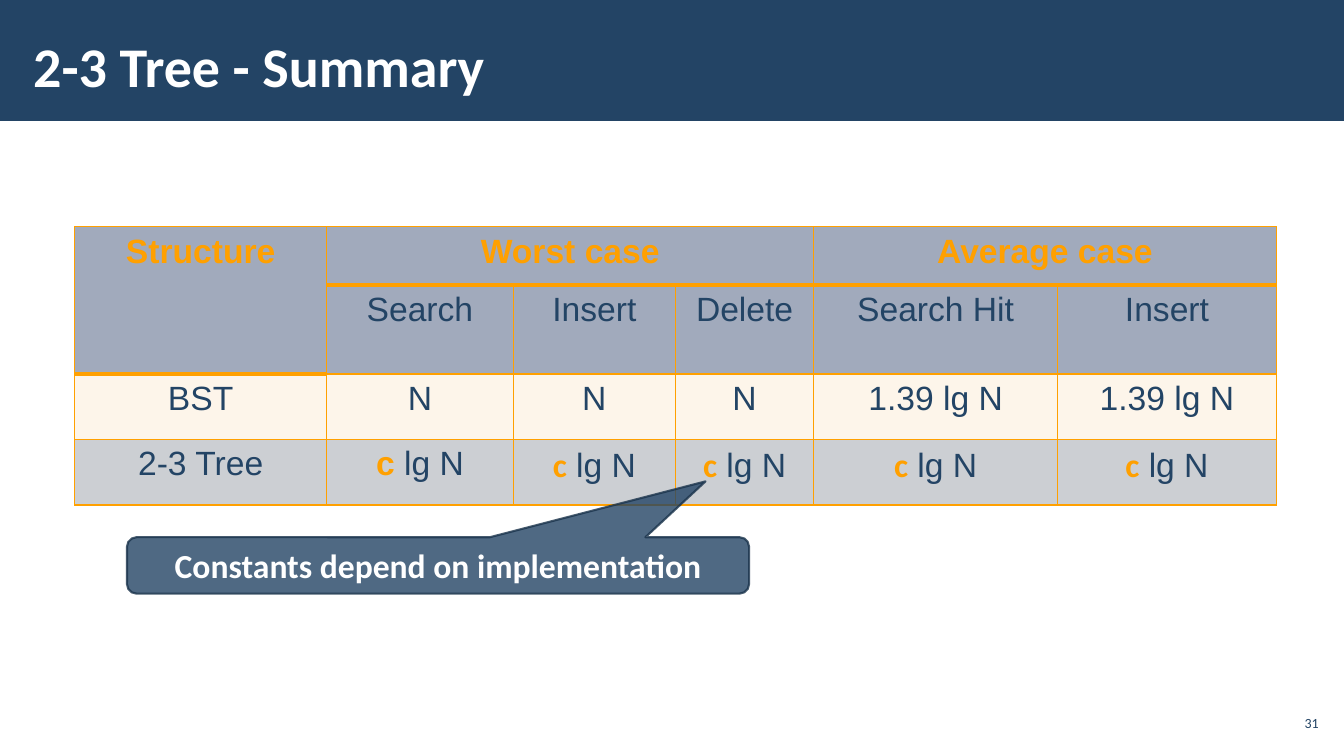
import pptx
import pptx.dml.color
import pptx.enum.shapes
import pptx.enum.text
import pptx.oxml
import pptx.oxml.ns
import pptx.util
from lxml import etree

Inches = pptx.util.Inches
Pt = pptx.util.Pt
ALIGN = pptx.enum.text.PP_ALIGN
MIDDLE = pptx.enum.text.MSO_ANCHOR.MIDDLE
SHAPES = pptx.enum.shapes.MSO_SHAPE

NAVY, ORANGE, WHITE = "234465", "FFA000", "FFFFFF"
HEADER_FILL, BST_FILL, TREE_FILL = "A1AABC", "FDF5EA", "CCCFD3"


def rgb(value):
    return pptx.dml.color.RGBColor.from_string(value)


def apply(target, values):
    for name, value in values.items():
        setattr(target, name, value)


def margins(left, top):
    sides = {"left": left, "right": left, "top": top, "bottom": top}
    return {f"margin_{side}": Inches(size) for side, size in sides.items()}


class SummarySlide:
    def __init__(self, slide):
        self.slide = slide
        self.plain = {"name": "Arial", "size": Pt(24), "bold": False}
        self.strong = {**self.plain, "bold": True}
        self.calibri = {**self.strong, "name": "Calibri"}

    def add_runs(self, frame, runs, align):
        paragraph = frame.paragraphs[0]
        paragraph.alignment = align
        for words, color, style in runs:
            run = paragraph.add_run()
            run.text = words
            apply(run.font, style)
            run.font.color.rgb = rgb(color)

    def text(self, box, runs, align, inset):
        frame = self.slide.shapes.add_textbox(*map(Inches, box)).text_frame
        apply(frame, {"word_wrap": True, "vertical_anchor": MIDDLE, **margins(inset, 0.04)})
        self.add_runs(frame, runs, align)

    def shape(self, kind, box, fill):
        shape = self.slide.shapes.add_shape(kind, *map(Inches, box))
        shape.shadow.inherit = False
        shape.fill.solid()
        shape.fill.fore_color.rgb = rgb(fill)
        shape.line.fill.background()
        return shape

    def callout(self, box, pointer, runs):
        shape = self.shape(SHAPES.ROUNDED_RECTANGULAR_CALLOUT, box, NAVY)
        for index, value in enumerate(pointer):
            shape.adjustments[index] = value
        shape.line.color.rgb = rgb("1A334B")
        shape.line.width = Pt(1.5)
        for color in shape._element.spPr.iter(pptx.oxml.ns.qn("a:srgbClr")):
            etree.SubElement(color, pptx.oxml.ns.qn("a:alpha"), val="80000")
        apply(shape.text_frame, {"word_wrap": True, "vertical_anchor": MIDDLE, **margins(0.1, 0.05)})
        self.add_runs(shape.text_frame, runs, ALIGN.CENTER)

    def borders(self, cell, widths):
        properties = cell._tc.get_or_add_tcPr()
        for index, (side, width) in enumerate(widths.items()):
            line = pptx.oxml.parse_xml(
                f'<a:ln{side} {pptx.oxml.ns.nsdecls("a")} w="{Pt(width)}">'
                f'<a:solidFill><a:srgbClr val="{ORANGE}"/></a:solidFill></a:ln{side}>'
            )
            properties.insert(index, line)

    def table(self, left, top, widths, heights, fills, rows, merges, thick_edges):
        grid = self.slide.shapes.add_table(
            len(heights), len(widths), Inches(left), Inches(top),
            Inches(sum(widths)), Inches(sum(heights)),
        ).table
        apply(grid, {"first_row": False, "horz_banding": False})
        for column, width in zip(grid.columns, widths):
            column.width = Inches(width)
        for row, height in zip(grid.rows, heights):
            row.height = Inches(height)
        for first, last in merges:
            grid.cell(*first).merge(grid.cell(*last))
        for r, entries in enumerate(rows):
            for c, runs in enumerate(entries):
                cell = grid.cell(r, c)
                apply(cell, margins(0.13, 0.06))
                cell.fill.solid()
                cell.fill.fore_color.rgb = rgb(fills[r])
                top_width = 3 if (r - 1, c) in thick_edges else 1
                bottom_width = 3 if (r, c) in thick_edges else 1
                self.borders(cell, {"L": 1, "R": 1, "T": top_width, "B": bottom_width})
                if runs:
                    self.add_runs(cell.text_frame, runs, ALIGN.CENTER)


def main():
    deck = pptx.Presentation()
    apply(deck, {"slide_width": Inches(13.33), "slide_height": Inches(7.5)})
    page = SummarySlide(deck.slides.add_slide(deck.slide_layouts[6]))

    page.shape(SHAPES.RECTANGLE, (0, 0, 13.33, 1.2), NAVY)
    number_style = {"name": "Calibri", "size": Pt(10)}
    page.text((12.65, 7, 0.47, 0.34), [("31", NAVY, number_style)], ALIGN.RIGHT, 0.04)
    title_style = {**page.calibri, "size": Pt(40)}
    page.text((0.21, 0.04, 10.47, 1.21), [("2-3 Tree - Summary", WHITE, title_style)], ALIGN.LEFT, 0.12)

    def heading(words):
        return [(words, ORANGE, page.strong)]

    def plain(words):
        return [(words, NAVY, page.plain)]

    def cost(constant_style):
        return [("c", ORANGE, constant_style), (" lg N", NAVY, page.plain)]

    operations = ["Search", "Insert", "Delete", "Search Hit", "Insert"]
    bst_costs = ["BST"] + ["N"] * 3 + ["1.39 lg N"] * 2
    rows = [
        [heading("Structure"), heading("Worst case"), None, None, heading("Average case"), None],
        [None] + [plain(operation) for operation in operations],
        [plain(entry) for entry in bst_costs],
        [plain("2-3 Tree"), cost(page.strong)] + [cost(page.calibri)] * 4,
    ]
    page.table(
        0.74, 2.25,
        widths=[2.5, 1.85, 1.61, 1.37, 2.42, 2.17],
        heights=[0.58, 0.88, 0.65, 0.65],
        fills=[HEADER_FILL, HEADER_FILL, BST_FILL, TREE_FILL],
        rows=rows,
        merges=[((0, 0), (1, 0)), ((0, 1), (0, 3)), ((0, 4), (0, 5))],
        thick_edges={(0, column) for column in range(6)} | {(1, 0)},
    )
    page.callout(
        (1.26, 5.33, 6.17, 0.56), (0.43, -1.49, 0.17),
        [("Constants depend on implementation", WHITE, page.calibri)],
    )
    deck.save("out.pptx")


if __name__ == "__main__":
    main()
